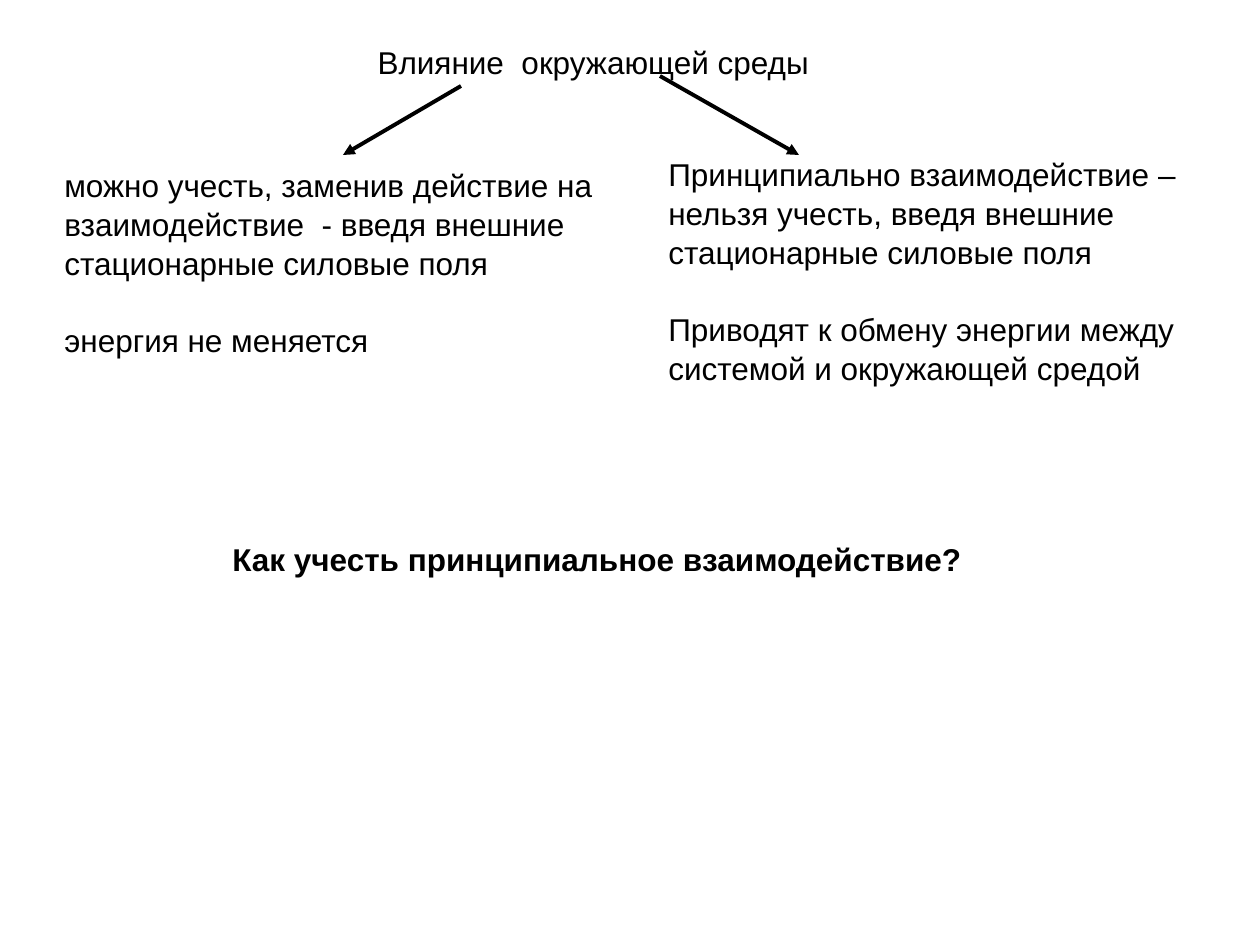
from dataclasses import dataclass

from lxml import etree
from pptx import Presentation
from pptx import util as u
from pptx.dml.color import RGBColor
from pptx.enum import shapes, text
from pptx.oxml import ns

BLACK = RGBColor(0, 0, 0)
FONT = "Arial"
PX_PER_INCH = 126


@dataclass(frozen=True)
class Box:
    left: int
    top: int
    width: int
    height: int


@dataclass(frozen=True)
class Arrow:
    start: tuple[int, int]
    end: tuple[int, int]


@dataclass(frozen=True)
class Column:
    box: Box
    lines: tuple[str, ...]


TITLE_BOX = Box(365, 35, 457, 50)
QUESTION_BOX = Box(220, 532, 756, 50)
COLUMNS = (
    Column(
        Box(52, 158, 578, 202),
        (
            "можно учесть, заменив действие на",
            "взаимодействие  - введя внешние",
            "стационарные силовые поля",
            "энергия не меняется",
        ),
    ),
    Column(
        Box(656, 147, 578, 239),
        (
            "Принципиально взаимодействие – нельзя учесть, введя внешние стационарные силовые поля",
            "Приводят к обмену энергии между системой и окружающей средой",
        ),
    ),
)
ARROWS = (
    Arrow((461, 86), (343, 155)),
    Arrow((660, 76), (799, 155)),
)


def px(length: int) -> int:
    return round(length * u.Inches(1) / PX_PER_INCH)


def place(shape, box: Box) -> None:
    shape.left, shape.top = px(box.left), px(box.top)
    shape.width, shape.height = px(box.width), px(box.height)


def write_text(
    shape,
    lines: tuple[str, ...],
    *,
    bold: bool = False,
    wrap: bool = False,
    last_gap: float = 0,
) -> None:
    frame = shape.text_frame
    frame.text = "\n".join(lines)
    frame.word_wrap = wrap
    frame.auto_size = text.MSO_AUTO_SIZE.SHAPE_TO_FIT_TEXT
    frame.vertical_anchor = text.MSO_ANCHOR.TOP
    for paragraph in frame.paragraphs:
        paragraph.alignment = text.PP_ALIGN.LEFT
        paragraph.line_spacing = 1.04
        paragraph.space_before = u.Pt(0)
        font = paragraph.runs[0].font
        font.name = FONT
        font.size = u.Pt(18)
        font.bold = bold
        font.color.rgb = BLACK
    frame.paragraphs[-1].space_before = u.Pt(last_gap)


def add_text(slide, box: Box, lines: tuple[str, ...], **text_format) -> None:
    shape = slide.shapes.add_textbox(0, 0, 0, 0)
    place(shape, box)
    write_text(shape, lines, **text_format)


def add_arrow(slide, arrow: Arrow) -> None:
    connector = slide.shapes.add_connector(
        shapes.MSO_CONNECTOR.STRAIGHT,
        *(px(value) for value in arrow.start + arrow.end),
    )
    connector.line.color.rgb = BLACK
    connector.line.width = u.Pt(2.25)
    line = connector.line._get_or_add_ln()
    etree.SubElement(line, ns.qn("a:tailEnd"), type="triangle")
    etree.SubElement(connector._element.spPr, ns.qn("a:effectLst"))


def main() -> None:
    presentation = Presentation()
    presentation.slide_width = px(1260)
    presentation.slide_height = px(945)
    slide = presentation.slides.add_slide(presentation.slide_layouts[5])

    title = slide.shapes.title
    place(title, TITLE_BOX)
    write_text(title, ("Влияние  окружающей среды",))
    for column in COLUMNS:
        add_text(slide, column.box, column.lines, wrap=True, last_gap=21.5)
    for arrow in ARROWS:
        add_arrow(slide, arrow)
    add_text(slide, QUESTION_BOX, ("Как учесть принципиальное взаимодействие?",), bold=True)

    presentation.save("out.pptx")


if __name__ == "__main__":
    main()
